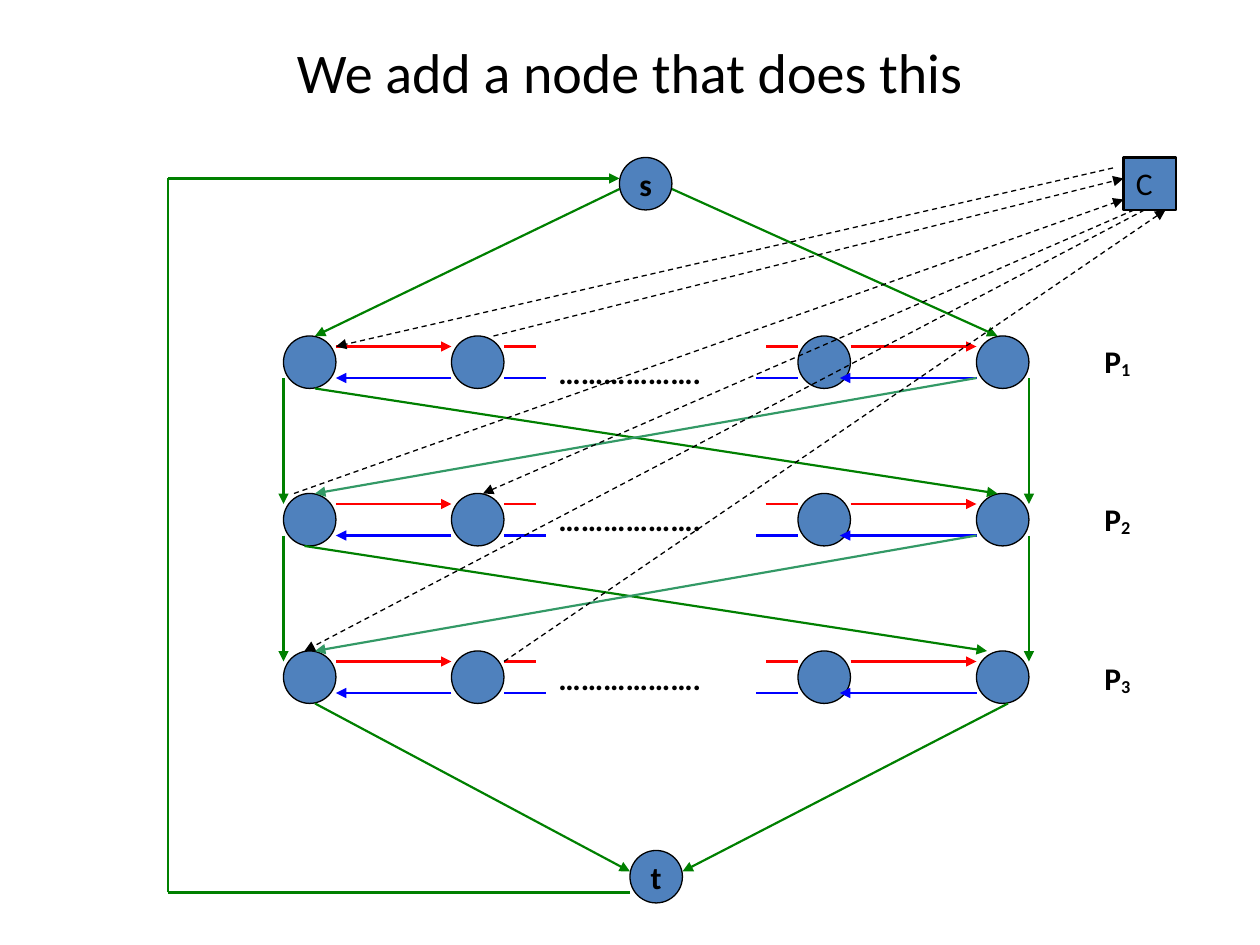
from dataclasses import dataclass

from lxml import etree
from pptx import Presentation
from pptx.dml.color import RGBColor
from pptx.enum import dml, shapes, text
from pptx.oxml import ns
from pptx.util import Pt


@dataclass(frozen=True)
class Theme:
    font: str = "Calibri"
    ink: str = "000000"
    node: str = "4F81BD"
    red: str = "FF0000"
    blue: str = "0000FF"
    green: str = "008000"
    teal: str = "339966"
    title: int = 32
    label: int = 18
    thin: float = 0.75
    thick: float = 1.25


T = Theme()
SIZE = 30  # side of every node
COLS = (0, 96, 294, 396)  # node offsets within a row
STEP = 90  # distance from row to row


def apply(obj, vals):
    for key, val in vals.items():
        setattr(obj, key, val)


def color(hue):
    return RGBColor.from_string(hue)


def write(frame, words, size=T.label, bold=True, sub="", **form):
    """Fill a text frame with one line and an optional subscript."""
    apply(frame, {"word_wrap": True, **form})
    para = frame.paragraphs[0]
    for part in filter(None, (words, sub)):
        run = para.add_run()
        run.text = part
        apply(run.font, {"name": T.font, "size": Pt(size), "bold": bold})
        run.font.color.rgb = color(T.ink)
    if sub:
        run._r.get_or_add_rPr().set("baseline", "-10000")
    return para


def label(slide, box, words, **form):
    area = slide.shapes.add_textbox(*map(Pt, box))
    return write(area.text_frame, words, **form)


def node(slide, x, y, kind=shapes.MSO_SHAPE.OVAL, width=T.thin):
    item = slide.shapes.add_shape(kind, *map(Pt, (x, y, SIZE, SIZE)))
    item.shadow.inherit = False
    item.fill.solid()
    item.fill.fore_color.rgb = color(T.node)
    item.line.color.rgb = color(T.ink)
    item.line.width = Pt(width)
    return item


def edge(slide, ends, hue, head=True, width=T.thick, dash=False):
    wire = slide.shapes.add_connector(
        shapes.MSO_CONNECTOR.STRAIGHT, *map(Pt, ends))
    wire.line.color.rgb = color(hue)
    wire.line.width = Pt(width)
    if dash:
        wire.line.dash_style = dml.MSO_LINE.DASH
    if head:
        tip = etree.SubElement(wire.line._get_or_add_ln(), ns.qn("a:tailEnd"))
        tip.set("type", "triangle")
    etree.SubElement(wire._element.spPr, ns.qn("a:effectLst"))


def row(slide, x, y, num, dots, drop):
    """One path: four nodes, red edges right, blue edges left, a name."""
    for col in COLS:
        node(slide, x + col, y)
    label(slide, (x + 150, y + dots, 132, 29), "……………….")
    label(slide, (x + 462, y + drop, 48, 29), "P", sub=str(num))
    tracks = (
        (T.red, 6, ((30, 96, True), (324, 396, True),
                    (126, 144, False), (276, 294, False))),
        (T.blue, 24, ((96, 30, True), (396, 318, True),
                      (126, 150, False), (270, 294, False))),
    )
    for hue, dy, spans in tracks:
        for start, end, head in spans:
            edge(slide, (x + start, y + dy, x + end, y + dy), hue, head)


def link(slide, x, y, start, end):
    """Edges from one row down to the next."""
    for side in (0, COLS[-1] + SIZE):
        edge(slide, (x + side, y + 24, x + side, y + STEP + 6), T.green)
    edge(slide, (x + start, y + 30, x + end, y + STEP), T.green)
    edge(slide, (x + 396, y + 24, x + 18, y + STEP), T.teal)


def poles(slide, x, y):
    """Source s, sink t, their edges and the loop back from t to s."""
    for ends in ((192, 18, 18, 102), (222, 18, 408, 102),
                 (18, 312, 198, 408), (414, 312, 228, 408)):
        edge(slide, [v + (x, y)[i % 2] for i, v in enumerate(ends)], T.green)
    loop = ((x + 198, y + 420), (x - 66, y + 420),
            (x - 66, y + 12), (x + 192, y + 12))
    for i, (a, b) in enumerate(zip(loop, loop[1:])):
        edge(slide, a + b, T.green, head=i == 2)
    for name, dx, dy in (("s", 192, 0), ("t", 198, 396)):
        para = write(node(slide, x + dx, y + dy).text_frame, name,
                     word_wrap=False,
                     vertical_anchor=text.MSO_ANCHOR.MIDDLE)
        para.alignment = text.PP_ALIGN.CENTER


def clause(slide, x, y):
    """Clause node C and its dashed edges."""
    box = node(slide, x, y, shapes.MSO_SHAPE.RECTANGLE, T.thick)
    para = write(box.text_frame, "C", bold=False,
                 vertical_anchor=text.MSO_ANCHOR.TOP)
    para.alignment = text.PP_ALIGN.LEFT
    for ends in ((282, 192, x, y + 12), (x - 6, y + 6, 192, 198),
                 (168, 282, x, y + 24), (x + 6, y + 30, 276, 282),
                 (x + 12, y + 30, 174, 372), (288, 378, x + 24, y + 30)):
        edge(slide, ends, T.ink, width=T.thin, dash=True)


def main():
    deck = Presentation()
    apply(deck, {"slide_width": Pt(720), "slide_height": Pt(540)})
    slide = deck.slides.add_slide(deck.slide_layouts[6])

    # Title
    para = label(slide, (36, 18, 648, 492), "We add a node that does this",
                 size=T.title, bold=False)
    para.alignment = text.PP_ALIGN.CENTER

    # Paths and the edges between them
    left, top = 162, 192
    for i, (dots, drop) in enumerate(((6, 0), (0, 0), (1, 1))):
        row(slide, left, top + i * STEP, i + 1, dots, drop)
    for i, (start, end) in enumerate(((18, 408), (12, 402))):
        link(slide, left, top + i * STEP, start, end)

    # Source, sink and clause
    poles(slide, left, 90)
    clause(slide, 642, 90)

    deck.save("out.pptx")


if __name__ == "__main__":
    main()
